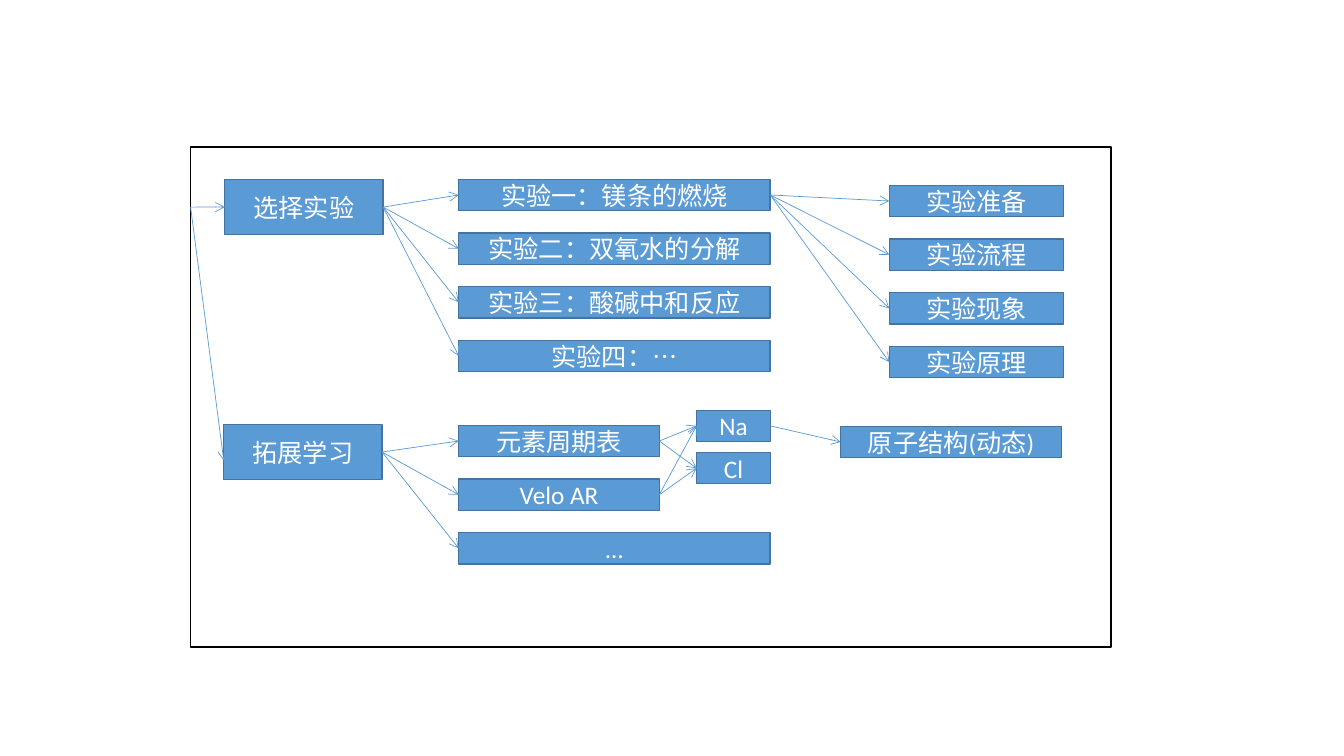
from dataclasses import dataclass

from lxml import etree
from pptx import Presentation
from pptx.dml.color import RGBColor
from pptx.enum.shapes import MSO_CONNECTOR, MSO_SHAPE
from pptx.enum.text import MSO_ANCHOR, PP_ALIGN
from pptx.oxml.ns import qn
from pptx.util import Inches, Pt

RECTANGLE = MSO_SHAPE.RECTANGLE
STRAIGHT = MSO_CONNECTOR.STRAIGHT
MIDDLE = MSO_ANCHOR.MIDDLE
CENTER = PP_ALIGN.CENTER
LEFT_SIDE, RIGHT_SIDE = 1, 3

WHITE = RGBColor(0xFF, 0xFF, 0xFF)
BLACK = RGBColor(0x00, 0x00, 0x00)
BLUE = RGBColor(0x5B, 0x9B, 0xD5)
DARK_BLUE = RGBColor(0x43, 0x73, 0x9E)

SLIDE_WIDTH, SLIDE_HEIGHT = Inches(13.33), Inches(7.5)

TOPIC_WIDTH, TOPIC_HEIGHT = 11.78, 7.33
ITEM_LEFT, ITEM_WIDTH, SHORT_ITEM_WIDTH = 34.13, 23.18, 14.93
ELEMENT_LEFT, ELEMENT_WIDTH = 51.83, 5.48
STEP_LEFT, STEP_WIDTH = 66.17, 12.98
ROW_HEIGHT, ROW_PITCH = 4.13, 7.1
EXPERIMENT_TOP, STEP_TOP, EXTENSION_TOP = 23.73, 24.53, 56.27
ENTRY_LEFT, ENTRY_TOP = 14.18, 27.4


@dataclass(frozen=True)
class Node:
    text: str
    left: float
    top: float
    width: float
    height: float = ROW_HEIGHT


def column(texts: list[str], left: float, top: float,
           width: float) -> list[Node]:
    return [Node(text, left, top + row * ROW_PITCH, width)
            for row, text in enumerate(texts)]


FRAME = Node("", ENTRY_LEFT, 19.47, 68.5, 66.13)
CHOOSE = Node("选择实验", 16.73, 23.73, TOPIC_WIDTH, TOPIC_HEIGHT)
EXTEND = Node("拓展学习", 16.65, 56.13, TOPIC_WIDTH, TOPIC_HEIGHT)
EXPERIMENTS = column(
    ["实验一：镁条的燃烧", "实验二：双氧水的分解", "实验三：酸碱中和反应", "实验四：…"],
    ITEM_LEFT, EXPERIMENT_TOP, ITEM_WIDTH)
STEPS = column(["实验准备", "实验流程", "实验现象", "实验原理"],
               STEP_LEFT, STEP_TOP, STEP_WIDTH)
SOURCES = column(["元素周期表", "Velo AR"],
                 ITEM_LEFT, EXTENSION_TOP, SHORT_ITEM_WIDTH)
MORE = Node("…", ITEM_LEFT, EXTENSION_TOP + 2 * ROW_PITCH, ITEM_WIDTH)
SODIUM = Node("Na", ELEMENT_LEFT, 54.27, ELEMENT_WIDTH)
CHLORINE = Node("Cl", ELEMENT_LEFT, 59.87, ELEMENT_WIDTH)
ATOM = Node("原子结构(动态)", 62.55, 56.4, 16.43)

NODES = [CHOOSE, *EXPERIMENTS, *STEPS, EXTEND, *SOURCES, MORE,
         SODIUM, CHLORINE, ATOM]
BRANCHES = [
    (CHOOSE, EXPERIMENTS),
    (EXPERIMENTS[0], STEPS),
    (EXTEND, [*SOURCES, MORE]),
    *((source, [SODIUM, CHLORINE]) for source in SOURCES),
    (SODIUM, [ATOM]),
]


def across(share: float) -> int:
    return round(SLIDE_WIDTH * share / 100)


def down(share: float) -> int:
    return round(SLIDE_HEIGHT * share / 100)


def write_text(box, text: str, *, size: float, color: RGBColor,
               font: str = "Calibri") -> None:
    frame = box.text_frame
    frame.word_wrap = True
    frame.vertical_anchor = MIDDLE
    para = frame.paragraphs[0]
    para.alignment = CENTER
    span = para.add_run()
    span.text = text
    span.font.name = font
    span.font.size = Pt(size)
    span.font.color.rgb = color


def draw_box(page, node: Node, fill: RGBColor, line: RGBColor):
    box = page.shapes.add_shape(
        RECTANGLE, across(node.left), down(node.top),
        across(node.width), down(node.height))
    box.shadow.inherit = False
    box.fill.solid()
    box.fill.fore_color.rgb = fill
    box.line.color.rgb = line
    box.line.width = Pt(1)
    if node.text:
        write_text(box, node.text, size=18, color=WHITE)
    return box


def draw_arrow(page, start: tuple[float, float] = (0, 0),
               end: tuple[float, float] = (0, 0),
               source=None, target=None) -> None:
    arrow = page.shapes.add_connector(
        STRAIGHT, across(start[0]), down(start[1]),
        across(end[0]), down(end[1]))
    if source is not None:
        arrow.begin_connect(source, RIGHT_SIDE)
    if target is not None:
        arrow.end_connect(target, LEFT_SIDE)
    arrow.line.color.rgb = BLUE
    arrow.line.width = Pt(0.5)
    outline = arrow._element.spPr.find(qn("a:ln"))
    etree.SubElement(outline, qn("a:tailEnd"), type="arrow")
    etree.SubElement(arrow._element.spPr, qn("a:effectLst"))


def main() -> None:
    deck = Presentation()
    deck.slide_width, deck.slide_height = SLIDE_WIDTH, SLIDE_HEIGHT
    page = deck.slides.add_slide(deck.slide_layouts[6])

    draw_box(page, FRAME, WHITE, BLACK)
    boxes = {node: draw_box(page, node, BLUE, DARK_BLUE) for node in NODES}
    for source, targets in BRANCHES:
        for target in targets:
            draw_arrow(page, source=boxes[source], target=boxes[target])

    entry = (ENTRY_LEFT, ENTRY_TOP)
    draw_arrow(page, start=entry, target=boxes[CHOOSE])
    draw_arrow(page, start=entry, end=(EXTEND.left, 60.93))
    deck.save("out.pptx")


if __name__ == "__main__":
    main()
